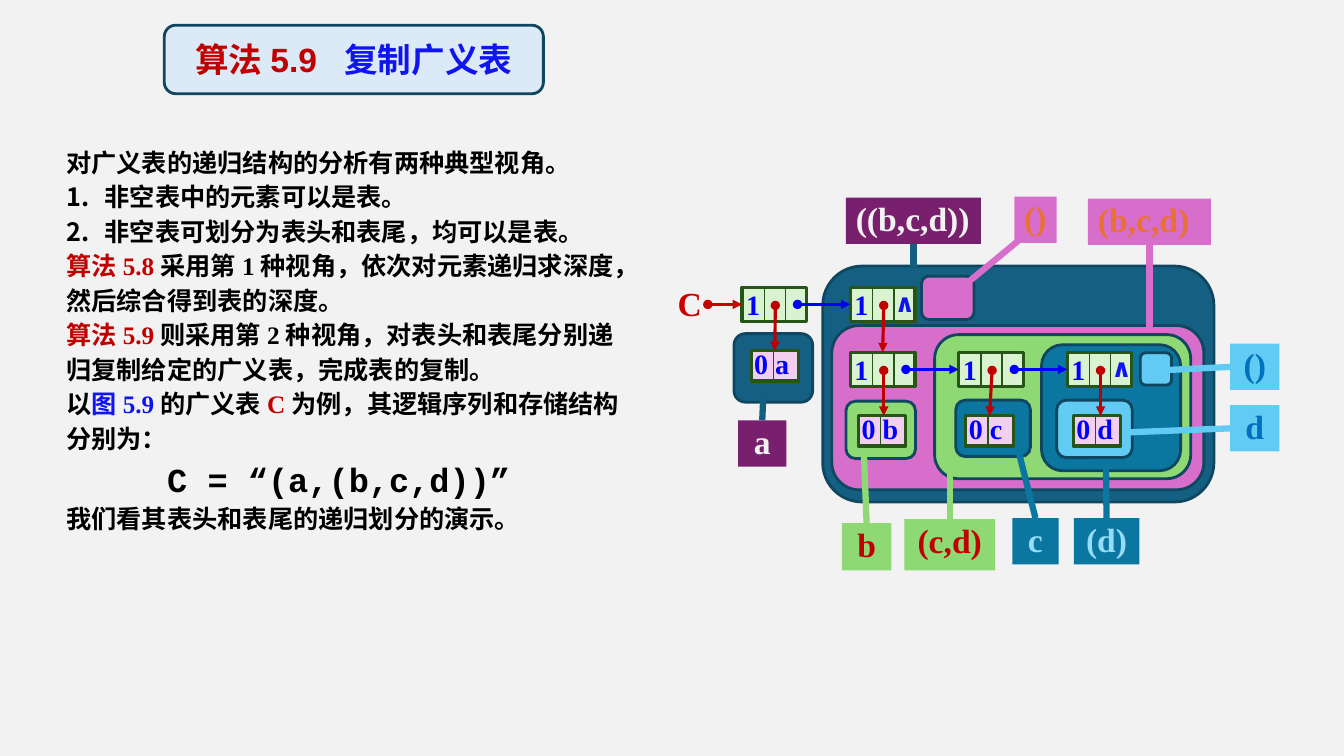
from lxml import etree
from pptx import Presentation
from pptx.dml.color import RGBColor
from pptx.enum.shapes import MSO_CONNECTOR, MSO_SHAPE
from pptx.enum.text import MSO_ANCHOR, PP_ALIGN
from pptx.oxml.ns import qn
from pptx.util import Inches, Pt

RECT, ROUND = MSO_SHAPE.RECTANGLE, MSO_SHAPE.ROUNDED_RECTANGLE
LEFT, CENTER = PP_ALIGN.LEFT, PP_ALIGN.CENTER
TOP, MIDDLE = MSO_ANCHOR.TOP, MSO_ANCHOR.MIDDLE
STRAIGHT = MSO_CONNECTOR.STRAIGHT
SIDE_TOP, SIDE_LEFT, SIDE_BOTTOM = 0, 1, 2
SERIF = "Times New Roman"

NAVY, PINK, GREEN, TEAL, SKY = "156082", "D86ECC", "8ED973", "0B76A0", "61CBF4"
PURPLE, EDGE, CELL_EDGE = "78206E", "104760", "275417"
RED, BLUE, INK, BLACK, WHITE = "C00000", "0000FF", "0F14F1", "000000", "F2F2F2"

presentation = Presentation()
presentation.slide_width, presentation.slide_height = Inches(13.33), Inches(7.5)
slide = presentation.slides.add_slide(presentation.slide_layouts[6])
slide.background.fill.solid()
slide.background.fill.fore_color.rgb = RGBColor.from_string(WHITE)


def box(kind, at, fill=None, edge=None, text="", color=BLACK, size=20, font=SERIF,
        align=LEFT, margins=(0, 0, 0, 0), spacing=1.0):
    """Add a filled shape, or a text box where there is no fill."""
    place = [Inches(length) for length in at]
    if fill:
        shape = slide.shapes.add_shape(kind, *place)
        shape.shadow.inherit = False
        shape.fill.solid()
        shape.fill.fore_color.rgb = RGBColor.from_string(fill)
        if edge:
            shape.line.color.rgb = RGBColor.from_string(edge)
            shape.line.width = Pt(2 if kind == ROUND else 2.25)
        else:
            shape.line.fill.background()
    else:
        shape = slide.shapes.add_textbox(*place)
    frame = shape.text_frame
    frame.word_wrap = True
    frame.vertical_anchor = TOP
    (frame.margin_left, frame.margin_top,
     frame.margin_right, frame.margin_bottom) = [Inches(m) for m in margins]
    if text:
        paragraph = frame.paragraphs[0]
        paragraph.text = text
        paragraph.alignment = align
        paragraph.line_spacing = spacing
        paragraph.font.name, paragraph.font.size = font, Pt(size)
        paragraph.font.bold = True
        paragraph.font.color.rgb = RGBColor.from_string(color)
    return shape


def line(start, end, color, width, arrow=False):
    connector = slide.shapes.add_connector(
        STRAIGHT, *[Inches(length) for length in (*start, *end)])
    connector.line.color.rgb = RGBColor.from_string(color)
    connector.line.width = Pt(width)
    if arrow:
        outline = connector.line._get_or_add_ln()
        etree.SubElement(outline, qn("a:headEnd"), type="oval")
        etree.SubElement(outline, qn("a:tailEnd"), type="triangle")
    etree.SubElement(connector._element.spPr, qn("a:effectLst"))
    return connector


# Title
title = box(ROUND, (1.63, 0.25, 3.76, 0.68), "DCEAF7", EDGE)
title.text_frame.vertical_anchor = MIDDLE
paragraph = title.text_frame.paragraphs[0]
paragraph.alignment = CENTER
paragraph.font.name, paragraph.font.size, paragraph.font.bold = "Arial", Pt(24), True
for text, color in (("算法5.9", RED), (" ", RED), ("复制广义表", INK)):
    run = paragraph.add_run()
    run.text = text
    run.font.color.rgb = RGBColor.from_string(color)
    if text == " ":
        run.font._element.set("spc", "700")

# Explanation: each paragraph is a list of (text, colour) runs
body = [
    [("对广义表的递归结构的分析有两种典型视角。", BLACK)],
    [("非空表中的元素可以是表。", BLACK)],
    [("非空表可划分为表头和表尾，均可以是表。", BLACK)],
    [("算法5.8", RED), ("采用第1种视角，依次对元素递归求深度，然后综合得到表的深度。", BLACK)],
    [("算法5.9", RED),
     ("则采用第2种视角，对表头和表尾分别递归复制给定的广义表，完成表的复制。", BLACK)],
    [("以", BLACK), ("图5.9", INK), ("的广义表", BLACK), ("C", RED),
     ("为例，其逻辑序列和存储结构分别为：", BLACK)],
    [("C = “(a,(b,c,d))”", BLACK)],
    [("我们看其表头和表尾的递归划分的演示。", BLACK)],
]
NUMBERED, FORMULA = (1, 2), 6
frame = box(RECT, (0.56, 1.37, 5.79, 4.33), margins=(0.1, 0.05, 0.1, 0.05)).text_frame
for index, runs in enumerate(body):
    paragraph = frame.paragraphs[0] if index == 0 else frame.add_paragraph()
    paragraph.line_spacing = 1.14
    properties = paragraph._p.get_or_add_pPr()
    if index in NUMBERED:
        properties.set("marL", str(Inches(0.38)))
        properties.set("indent", str(Inches(-0.38)))
        etree.SubElement(properties, qn("a:buFont"), typeface="Arial")
        etree.SubElement(properties, qn("a:buAutoNum"), type="arabicPeriod")
    elif index == FORMULA:
        properties.set("marL", str(Inches(1)))
    paragraph.font.name = "Courier New" if index == FORMULA else SERIF
    paragraph.font.size = Pt(24 if index == FORMULA else 18)
    paragraph.font.bold = True
    for text, color in runs:
        run = paragraph.add_run()
        run.text = text
        run.font.color.rgb = RGBColor.from_string(color)

# Nested regions, outermost first
for at, fill in (
    ((8.16, 2.64, 3.88, 2.34), NAVY), ((8.25, 3.23, 3.69, 1.63), PINK),
    ((9.27, 3.32, 2.54, 1.43), GREEN), ((9.48, 3.97, 0.74, 0.56), TEAL),
    ((10.33, 3.42, 1.38, 1.25), TEAL), ((11.31, 3.5, 0.31, 0.32), SKY),
    ((10.48, 3.97, 0.75, 0.57), SKY), ((8.39, 3.98, 0.69, 0.57), GREEN),
    ((7.28, 3.31, 0.78, 0.68), NAVY), ((9.14, 2.74, 0.52, 0.43), PINK),
):
    box(ROUND, at, fill, EDGE)

# List nodes on a grid of columns and rows
corners = {(column, row): (7.36 + 1.075 * column, 2.85 + 0.645 * row)
           for column, row in ((0, 0), (1, 0), (1, 1), (2, 1), (3, 1))}
nodes = {}
for key, (x, y) in corners.items():
    nodes[key] = box(RECT, (x, y, 0.64, 0.34), "D9F2D0", CELL_EDGE, "1", BLUE,
                     margins=(0.04, 0, 0.04, 0))
    for divider in (x + 0.22, x + 0.43):
        line((divider, y), (divider, y + 0.33), CELL_EDGE, 1)

# Atom nodes below their list nodes
atoms = {}
for column, letter in enumerate("abcd"):
    row = min(column, 1)
    x, y = 7.45 + 1.065 * column, 3.48 + 0.645 * row
    atoms[column, row] = box(RECT, (x, y, 0.47, 0.3), "F2CFEE", CELL_EDGE, f"0 {letter}",
                             BLUE, margins=(0.03, 0, 0, 0), spacing=0.9)
    line((x + 0.22, y), (x + 0.22, y + 0.3), CELL_EDGE, 1)

# Head links go down, tail links go right or end in ∧
CENTRED_BELOW = ((0, 0), (1, 0), (2, 1))
for key, (x, y) in corners.items():
    column, row = key
    head = line((x + 0.33, y + 0.18), (x + 0.33, y + 0.63), RED, 2.25, arrow=True)
    if key in CENTRED_BELOW:
        head.end_connect(atoms.get(key, nodes[1, 1]), SIDE_TOP)
    following = nodes.get((column + 1, row))
    if following:
        tail = line((x + 0.55, y + 0.17), (x + 1.07, y + 0.17), BLUE, 2.25, arrow=True)
        tail.end_connect(following, SIDE_LEFT)
    else:
        box(RECT, (x + 0.42, y, 0.24, 0.3), text="∧", color=INK, size=18,
            font="Quicksand", align=CENTER)

box(RECT, (6.72, 2.81, 0.28, 0.4), text="C", color="CC0000", size=24)
entry = line((7.02, 3.02), (7.36, 3.02), "CC0000", 2.25, arrow=True)
entry.end_connect(nodes[0, 0], SIDE_LEFT)

# Labels: text, place, fill, text colour, alignment, leader colour, leader start, side
for text, at, fill, color, align, leader_color, start, side in (
    ("((b,c,d))", (8.39, 1.96, 1.34, 0.46), PURPLE, WHITE, LEFT, "125F82", (9.06, 2.65), SIDE_BOTTOM),
    ("a", (7.32, 4.17, 0.48, 0.46), PURPLE, WHITE, CENTER, "125F82", (7.57, 3.95), SIDE_TOP),
    ("(b,c,d)", (10.79, 1.97, 1.22, 0.46), PINK, "E97132", LEFT, PINK, (11.4, 3.25), SIDE_BOTTOM),
    ("()", (10.06, 1.95, 0.42, 0.46), PINK, "E97132", LEFT, PINK, (9.59, 2.81), None),
    ("(c,d)", (8.97, 5.15, 0.9, 0.51), GREEN, RED, CENTER, GREEN, (9.42, 4.65), SIDE_TOP),
    ("b", (8.35, 5.19, 0.49, 0.47), GREEN, RED, CENTER, GREEN, (8.57, 4.53), SIDE_TOP),
    ("c", (10.04, 5.14, 0.46, 0.46), TEAL, "96DCF8", CENTER, TEAL, (10.11, 4.51), SIDE_TOP),
    ("d", (12.2, 4.02, 0.49, 0.46), SKY, "0070C0", CENTER, SKY, (11.17, 4.29), SIDE_LEFT),
    ("()", (12.2, 3.41, 0.49, 0.46), SKY, "0070C0", CENTER, SKY, (11.6, 3.67), SIDE_LEFT),
    ("(d)", (10.65, 5.14, 0.65, 0.46), TEAL, "96DCF8", CENTER, TEAL, (10.97, 4.65), SIDE_TOP),
):
    margins = (0.1 if align == LEFT else 0, 0.05, 0, 0.05)
    label = box(RECT, at, fill, None, text, color, 24, SERIF, align, margins, 0.9)
    leader = line(start, (at[0] + 0.05, at[1] + 0.43), leader_color, 4.5)
    if side is not None:
        leader.end_connect(label, side)

presentation.save("out.pptx")
